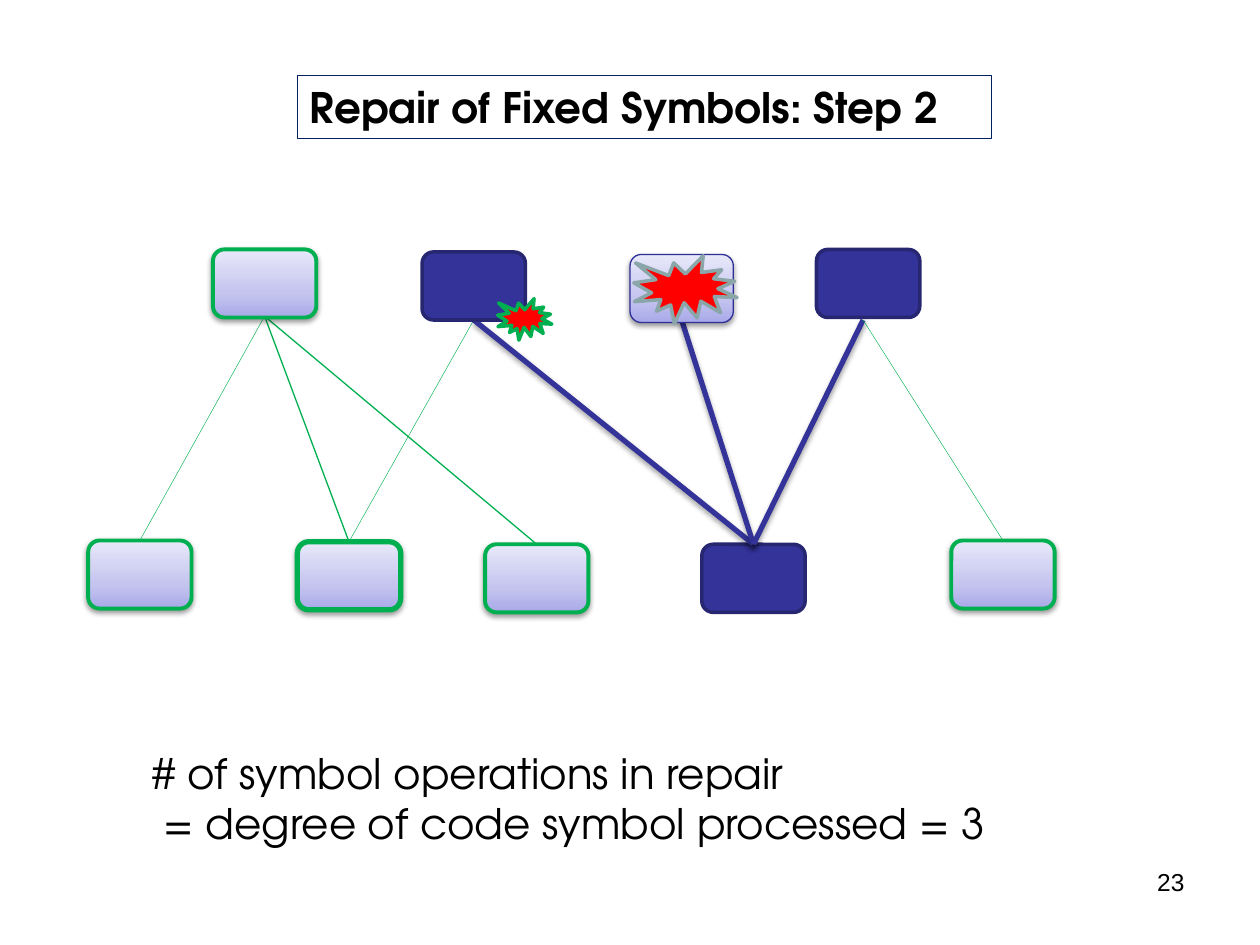
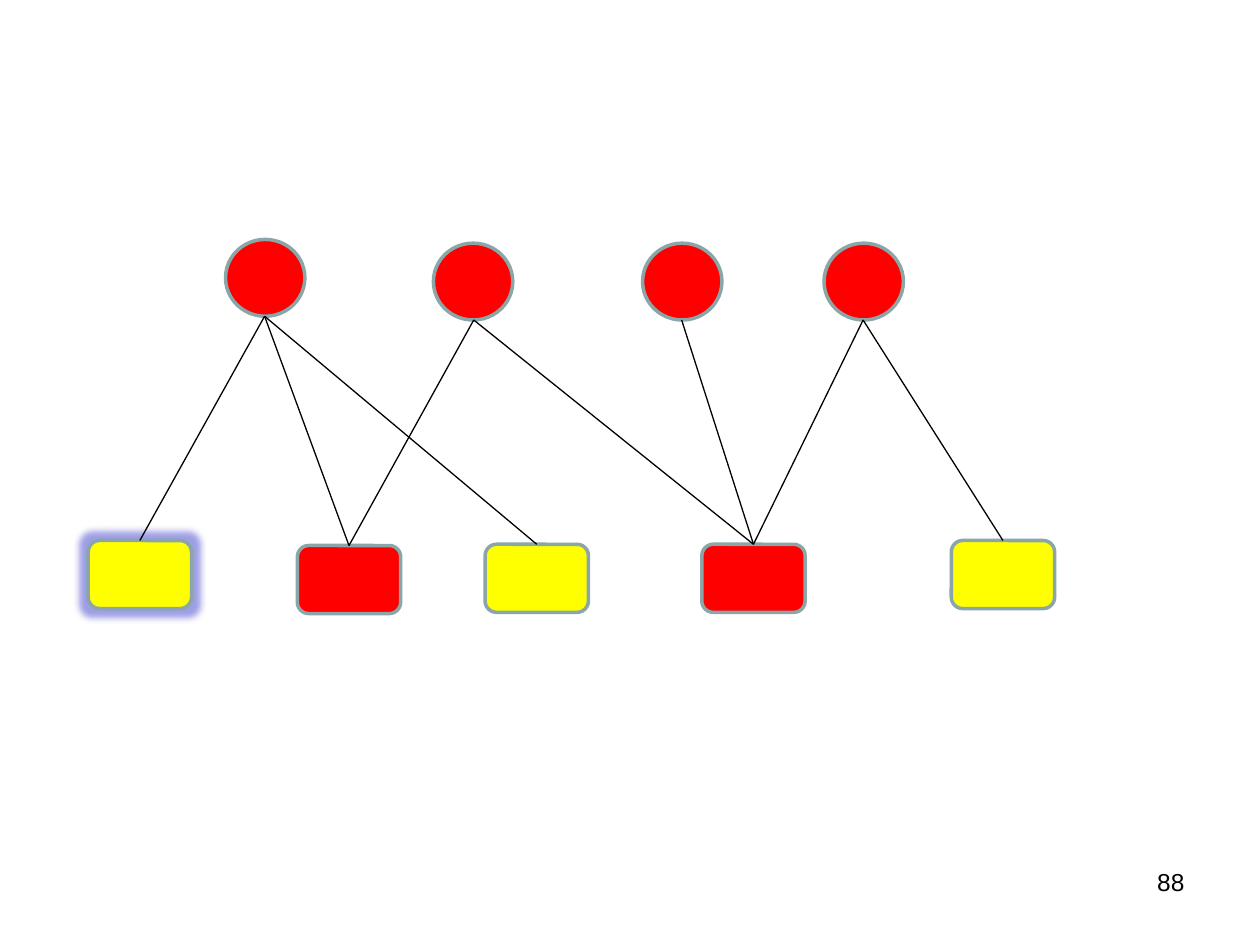
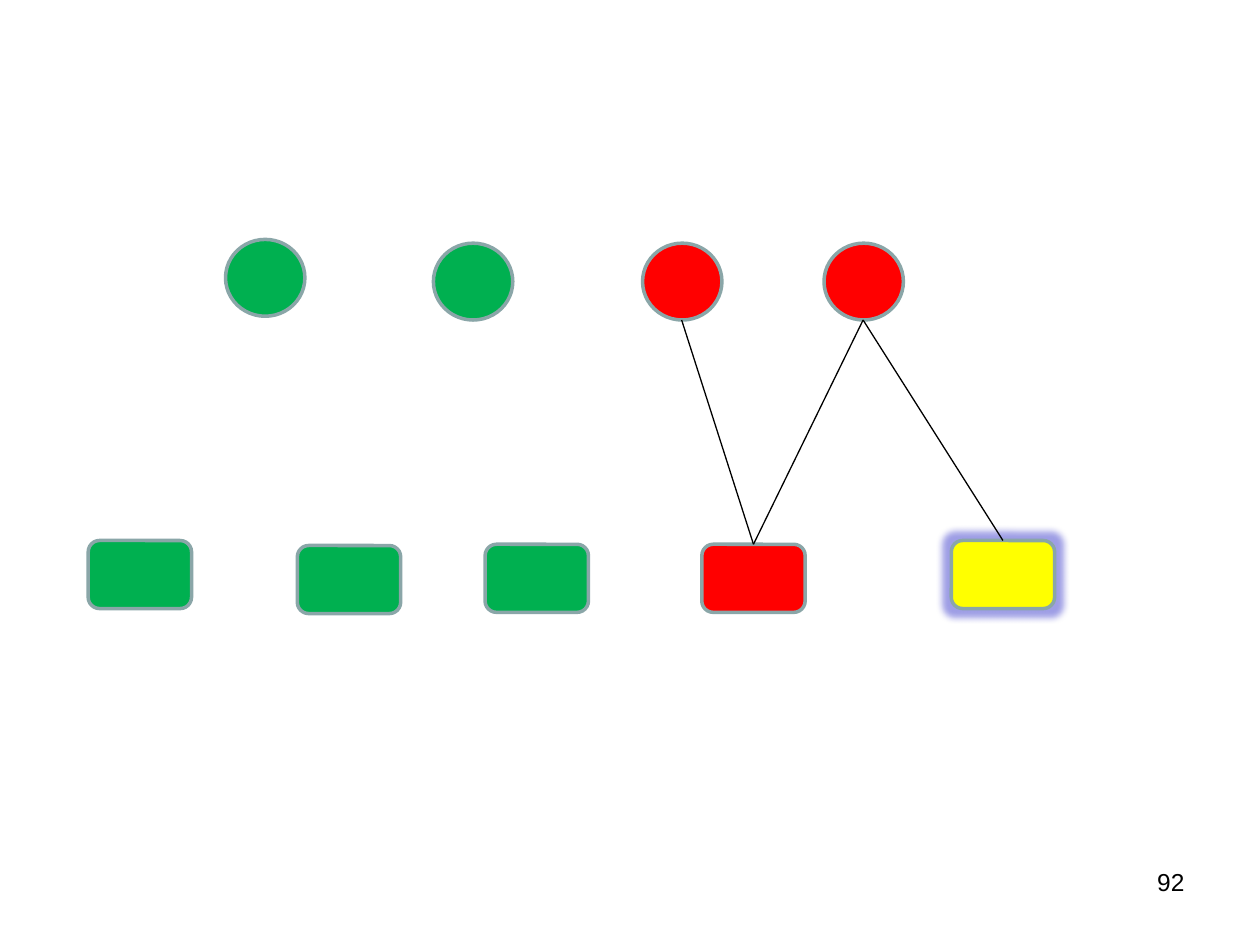
"""Build three slides on the repair and decoding of a code graph."""
import dataclasses

import lxml.etree
import pptx
import pptx.dml.color
import pptx.enum.shapes
import pptx.enum.text
import pptx.oxml.ns
import pptx.util

Inches = pptx.util.Inches
Pt = pptx.util.Pt
qn = pptx.oxml.ns.qn
Shape = pptx.enum.shapes.MSO_SHAPE
Align = pptx.enum.text.PP_ALIGN
Anchor = pptx.enum.text.MSO_ANCHOR


@dataclasses.dataclass(frozen=True)
class Theme:
    black: str = "000000"
    navy: str = "002060"
    indigo: str = "333399"
    indigo_edge: str = "262671"
    lilac_edge: str = "2F2F98"
    glow: str = "0D0DBF"
    green: str = "00B050"
    red: str = "FF0000"
    yellow: str = "FFFF00"
    grey: str = "8AA6A8"
    lilac_stops: tuple = ((0, "A9A9E9"), (35, "C4C4EF"), (100, "E8E8FA"))
    heading_font: str = "TeX Gyre Adventor"
    number_font: str = "Arial"
    heading_size: int = 24
    number_size: int = 14


@dataclasses.dataclass(frozen=True)
class Look:
    fill: object
    line: str
    width: float = 2
    effect: str = ""


THEME = Theme()
INTACT = Look(THEME.lilac_stops, THEME.green, 2.25, "shadow")
INTACT_BOLD = dataclasses.replace(INTACT, width=3)
ERASED = Look(THEME.lilac_stops, THEME.lilac_edge, 0.75, "shadow")
ACTIVE = Look(THEME.indigo, THEME.indigo_edge)
RED = Look(THEME.red, THEME.grey)
GREEN = Look(THEME.green, THEME.grey)
YELLOW = Look(THEME.yellow, THEME.grey)
GLOWING = dataclasses.replace(YELLOW, effect="glow")
BURST_GREEN = Look(THEME.red, THEME.green)

BOX_SIZE = (0.82, 0.54)
CIRCLE_SIZE = (0.63, 0.61)
SOURCE_BOXES = [(1.69, 1.98), (3.35, 2), (5, 2.02), (6.48, 1.98)]
SOURCE_CIRCLES = [(1.79, 1.9), (3.44, 1.93), (5.1, 1.93), (6.54, 1.93)]
SOURCE_ENDS = [(2.1, 2.51), (3.76, 2.54), (5.41, 2.54), (6.85, 2.54)]
CODE_LEFTS = [0.7, 2.36, 3.85, 5.57, 7.55]
REPAIR_TOPS = [4.29, 4.3, 4.32, 4.32, 4.29]
DECODE_TOPS = [4.29, 4.33, 4.32, 4.32, 4.29]
EDGES = [(0, 0), (0, 1), (0, 2), (1, 1), (1, 3), (2, 3), (3, 3), (3, 4)]


def rgb(color):
    return pptx.dml.color.RGBColor.from_string(color)


def assign(target, values):
    for name, value in values.items():
        setattr(target, name, value)


class Sketch:
    def __init__(self, theme):
        self.theme = theme
        self.deck = pptx.Presentation()
        assign(self.deck, {"slide_width": Inches(10), "slide_height": Inches(7.5)})
        self.page = None

    def new_page(self, number, title=None):
        self.page = self.deck.slides.add_slide(self.deck.slide_layouts[5 if title else 6])
        if title:
            self.title(title)
        self.text((7.17, 6.83, 2.33, 0.52), [number], self.theme.number_font,
                  self.theme.number_size, Align.RIGHT)

    def set_text(self, box, lines, font, size, align=Align.LEFT, bold=False, anchor=Anchor.TOP):
        frame = box.text_frame
        assign(frame, {"word_wrap": True, "vertical_anchor": anchor,
                       "auto_size": pptx.enum.text.MSO_AUTO_SIZE.NONE})
        frame.text = "\n".join(lines)
        for para in frame.paragraphs:
            para.alignment = align
            for span in para.runs:
                assign(span.font, {"name": font, "size": Pt(size), "bold": bold})
                span.font.color.rgb = rgb(self.theme.black)
        return frame

    def title(self, words):
        box = self.page.shapes.title
        assign(box, dict(zip(("left", "top", "width", "height"),
                             map(Inches, (2.36, 0.6, 5.51, 0.5)))))
        box.line.color.rgb = rgb(self.theme.navy)
        box.line.width = Pt(0.75)
        self.set_text(box, [words], self.theme.heading_font, self.theme.heading_size,
                      bold=True, anchor=Anchor.MIDDLE)

    def text(self, place, lines, font, size, align=Align.LEFT):
        box = self.page.shapes.add_textbox(*map(Inches, place))
        return self.set_text(box, lines, font, size, align)

    def effect(self, item, kind):
        properties = item.element.spPr
        effects = properties.find(qn("a:effectLst"))
        if effects is None:
            effects = lxml.etree.SubElement(properties, qn("a:effectLst"))
        if not kind:
            return
        if kind == "shadow":
            tag, color, alpha = "a:outerShdw", self.theme.black, 38
            values = {"blurRad": Pt(3.1), "dist": Pt(1.6), "dir": 5400000, "rotWithShape": 0}
        else:
            tag, color, alpha = "a:glow", self.theme.glow, 40
            values = {"rad": Pt(8)}
        node = lxml.etree.SubElement(effects, qn(tag), {k: str(int(v)) for k, v in values.items()})
        tint = lxml.etree.SubElement(node, qn("a:srgbClr"), val=color)
        lxml.etree.SubElement(tint, qn("a:alpha"), val=str(alpha * 1000))

    def gradient(self, shape, stops):
        shape.fill.gradient()
        shape.fill.gradient_angle = 90
        holder = shape.element.spPr.find(".//" + qn("a:gsLst"))
        for old in list(holder):
            holder.remove(old)
        for position, color in stops:
            stop = lxml.etree.SubElement(holder, qn("a:gs"), pos=str(position * 1000))
            lxml.etree.SubElement(stop, qn("a:srgbClr"), val=color)

    def shape(self, kind, corner, size, look):
        shape = self.page.shapes.add_shape(kind, *map(Inches, (*corner, *size)))
        shape.shadow.inherit = False
        if isinstance(look.fill, tuple):
            self.gradient(shape, look.fill)
        else:
            shape.fill.solid()
            shape.fill.fore_color.rgb = rgb(look.fill)
        shape.line.color.rgb = rgb(look.line)
        shape.line.width = Pt(look.width)
        self.effect(shape, look.effect)

    def nodes(self, kind, corners, size, looks):
        for corner, look in zip(corners, looks):
            self.shape(kind, corner, size, look)

    def edge(self, source, code, tops, color, width, effect=""):
        end = (CODE_LEFTS[code] + BOX_SIZE[0] / 2, tops[code])
        line = self.page.shapes.add_connector(
            pptx.enum.shapes.MSO_CONNECTOR.STRAIGHT,
            *map(Inches, (*SOURCE_ENDS[source], *end)))
        line.line.color.rgb = rgb(color)
        line.line.width = Pt(width)
        self.effect(line, effect)


def repair_page(sketch):
    theme = sketch.theme
    sketch.new_page("23", "Repair of Fixed Symbols: Step 2")
    sketch.nodes(Shape.ROUNDED_RECTANGLE, zip(CODE_LEFTS, REPAIR_TOPS), BOX_SIZE,
                 [INTACT, INTACT_BOLD, INTACT, ACTIVE, INTACT])
    for source, code in EDGES:
        if code == 3:
            sketch.edge(source, code, REPAIR_TOPS, theme.indigo, 3, "shadow")
        else:
            width = 0.75 if source == 0 and code else 0.25
            sketch.edge(source, code, REPAIR_TOPS, theme.green, width)
    sketch.nodes(Shape.ROUNDED_RECTANGLE, SOURCE_BOXES, BOX_SIZE,
                 [INTACT, ACTIVE, ERASED, ACTIVE])
    sketch.shape(Shape.EXPLOSION1, (5.03, 2.03), BOX_SIZE, RED)
    sketch.shape(Shape.EXPLOSION1, (3.95, 2.37), (0.43, 0.33), BURST_GREEN)
    frame = sketch.text((1.11, 5.88, 7.9, 0.91),
                        ["# of symbol operations in repair",
                         "= degree of code symbol processed = 3"],
                        theme.heading_font, theme.heading_size)
    frame.paragraphs[1]._p.get_or_add_pPr().set("marL", str(Inches(0.09)))


def decode_page(sketch, number, sources, codes, edges):
    sketch.new_page(number)
    sketch.nodes(Shape.OVAL, SOURCE_CIRCLES, CIRCLE_SIZE, sources)
    sketch.nodes(Shape.ROUNDED_RECTANGLE, zip(CODE_LEFTS, DECODE_TOPS), BOX_SIZE, codes)
    for source, code in edges:
        sketch.edge(source, code, DECODE_TOPS, sketch.theme.black, 0.75)


def main():
    sketch = Sketch(THEME)
    repair_page(sketch)
    decode_page(sketch, "88", [RED] * 4, [GLOWING, RED, YELLOW, RED, YELLOW], EDGES)
    decode_page(sketch, "92", [GREEN, GREEN, RED, RED],
                [GREEN, GREEN, GREEN, RED, GLOWING], EDGES[-3:])
    sketch.deck.save("out.pptx")


if __name__ == "__main__":
    main()
